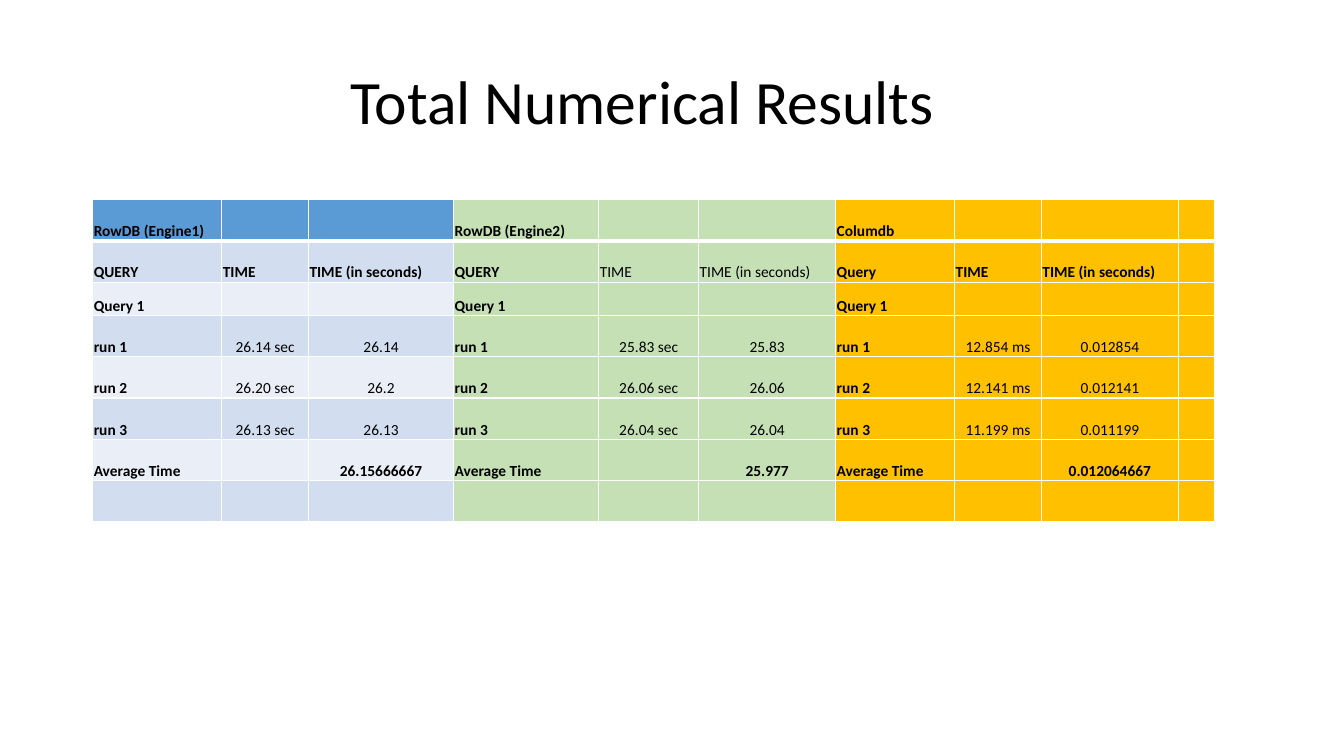
import pptx
import pptx.util
import pptx.dml.color
import pptx.enum.text
import pptx.oxml
import pptx.oxml.ns

INCH = pptx.util.Inches
ALIGN = pptx.enum.text.PP_ALIGN
ANCHOR = pptx.enum.text.MSO_ANCHOR


def tint(code):
    """Turn a hex string into a colour."""
    return pptx.dml.color.RGBColor.from_string(code)


def edge(cell, side, width):
    """Draw a white border, width in points, on side L, R, T or B."""
    cell._tc.get_or_add_tcPr().append(pptx.oxml.parse_xml(
        f'<a:ln{side} {pptx.oxml.ns.nsdecls("a")} w="{pptx.util.Pt(width)}">'
        f'<a:solidFill><a:srgbClr val="FFFFFF"/></a:solidFill></a:ln{side}>'))


deck = pptx.Presentation()
deck.slide_width, deck.slide_height = INCH(13.33), INCH(7.5)
slide = deck.slides.add_slide(deck.slide_layouts[5])

title = slide.shapes.title
title.left, title.top = INCH(0.62), INCH(0.31)
title.width, title.height = INCH(11.5), INCH(1.45)
title.text_frame.text = "Total Numerical Results"
title.text_frame.vertical_anchor = ANCHOR.MIDDLE
head = title.text_frame.paragraphs[0]
head.alignment = ALIGN.CENTER
head.line_spacing = 0.9
font = head.runs[0].font
font.name, font.size = "Calibri", pptx.util.Pt(44)
font.color.rgb = tint("000000")

# Each engine fills three columns; the last column stays empty.
rows = [
    ["RowDB (Engine1)", "", "", "RowDB (Engine2)", "", "", "Columdb", "", "", ""],
    ["QUERY", "TIME", "TIME (in seconds)"] * 2 + ["Query", "TIME", "TIME (in seconds)", ""],
    ["Query 1", "", ""] * 3 + [""],
    ["run 1", "26.14 sec", "26.14", "run 1", "25.83 sec", "25.83",
     "run 1", "12.854 ms", "0.012854", ""],
    ["run 2", "26.20 sec", "26.2", "run 2", "26.06 sec", "26.06",
     "run 2", "12.141 ms", "0.012141", ""],
    ["run 3", "26.13 sec", "26.13", "run 3", "26.04 sec", "26.04",
     "run 3", "11.199 ms", "0.011199", ""],
    ["Average Time", "", "26.15666667", "Average Time", "", "25.977",
     "Average Time", "", "0.012064667", ""],
    [""] * 10,
]
widths = [1.28, 0.86, 1.44, 1.44, 0.99, 1.36, 1.18, 0.86, 1.36, 0.36]
heights = [0.41, 0.41, 0.33] + [0.41] * 5
blues = ["5B9BD5"] + ["D2DEEF", "EAEFF7"] * 3 + ["D2DEEF"]

frame = slide.shapes.add_table(len(rows), len(widths), INCH(0.92), INCH(1.98),
                               INCH(sum(widths)), INCH(sum(heights)))
table = frame.table
table.horz_banding = False
for col, width in zip(table.columns, widths):
    col.width = INCH(width)

for r, row in enumerate(rows):
    table.rows[r].height = INCH(heights[r])
    for c, text in enumerate(row):
        cell = table.cell(r, c)
        cell.margin_left = cell.margin_right = cell.margin_top = INCH(0.01)
        cell.margin_bottom = 0
        cell.vertical_anchor = ANCHOR.BOTTOM
        for side in "LRTB":
            thick = (r, side) in [(0, "B"), (1, "T")]
            edge(cell, side, 3 if thick else 1)
        cell.fill.solid()
        cell.fill.fore_color.rgb = tint([blues[r], "C5E0B4", "FFC000"][min(c // 3, 2)])
        if not text:
            continue
        cell.text_frame.text = text
        para = cell.text_frame.paragraphs[0]
        para.alignment = ALIGN.CENTER if r > 2 and c % 3 else ALIGN.LEFT
        font = para.runs[0].font
        font.name, font.size = "Calibri", pptx.util.Pt(11)
        font.color.rgb = tint("000000")
        plain = r in (3, 4, 5) and c % 3 or r == 1 and c in (4, 5)
        font.bold = not plain

deck.save("out.pptx")
